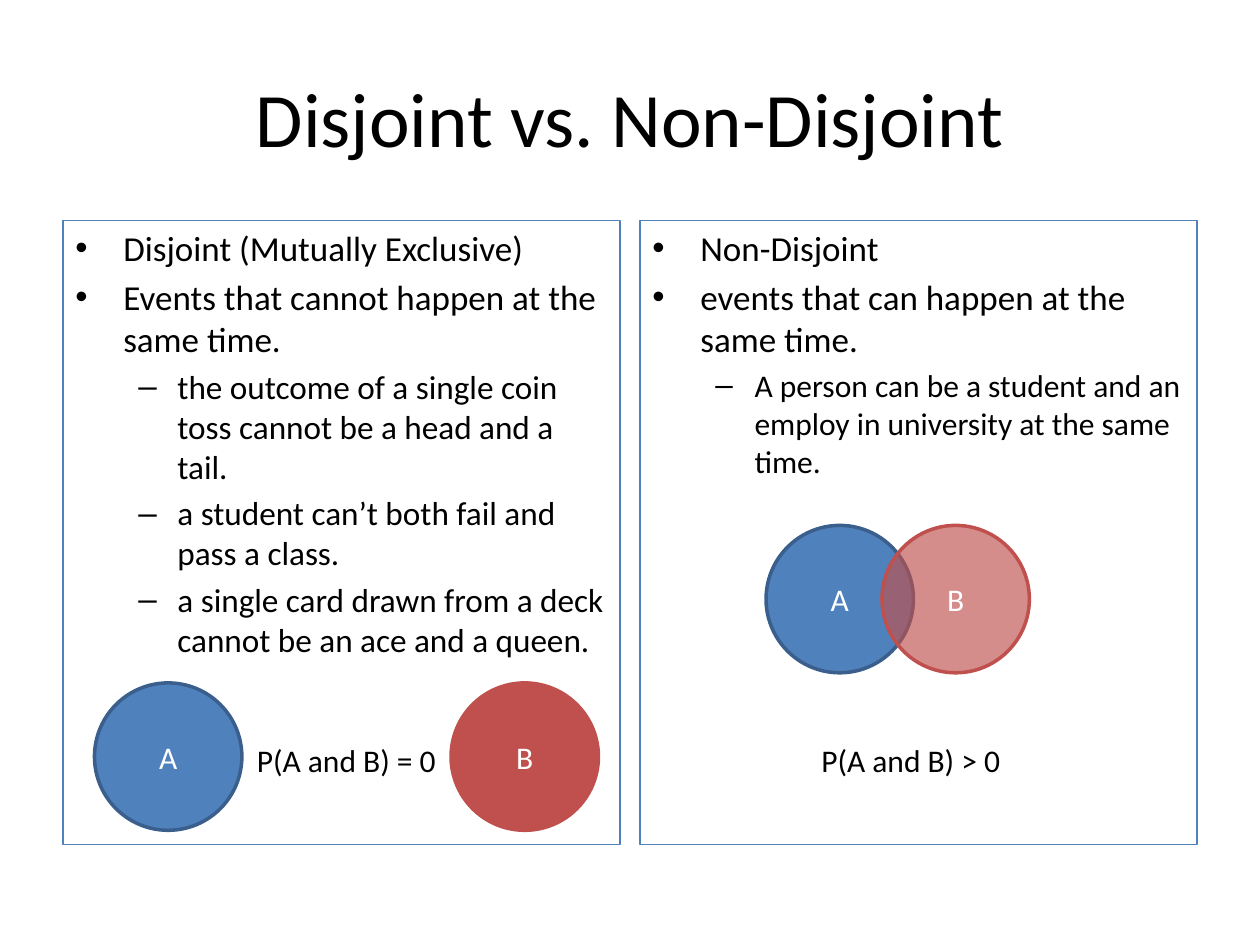
import pptx
import pptx.util
import pptx.dml.color
import pptx.enum.shapes
import pptx.enum.text
import pptx.oxml.ns
from lxml import etree

Inches, Pt = pptx.util.Inches, pptx.util.Pt
ALIGN, ANCHOR = pptx.enum.text.PP_ALIGN, pptx.enum.text.MSO_ANCHOR
SHAPE = pptx.enum.shapes.MSO_SHAPE

# Content
TITLE = "Disjoint vs. Non-Disjoint"
PANELS = [
    {
        "items": [
            (0, "Disjoint (Mutually Exclusive)"),
            (0, "Events that cannot happen at the same time."),
            (1, "the outcome of a single coin toss cannot be a head and a tail."),
            (1, "a student can’t both fail and pass a class."),
            (1, "a single card drawn from a deck cannot be an ace and a queen."),
        ],
        "sizes": (20, 19),
        "events": [("A", 0.25, 3.67, None), ("B", 3.08, 3.67, None)],
        "formula": ("P(A and B) = 0", 1.44),
    },
    {
        "items": [
            (0, "Non-Disjoint"),
            (0, "events that can happen at the same time."),
            (1, "A person can be a student and an employ in university at the same time."),
        ],
        "sizes": (20, 18),
        "events": [("A", 1, 2.42, None), ("B", 1.92, 2.42, 65)],
        "formula": ("P(A and B) > 0", 1.34),
    },
]

# Format values
COLORS = {"text": "000000", "label": "FFFFFF", "panel": "4F81BD"}
EVENT_COLORS = {"A": ("4F81BD", "3A5F8C"), "B": ("C0504D", "C0504D")}
LEVELS = [("•", 0.38, 0.38), ("–", 0.81, 0.31)]  # bullet, margin, hanging

# Grid: two equal columns between the side margins
WIDTH, HEIGHT = 10, 7.5
MARGIN, GUTTER = WIDTH * 0.05, 0.16
COLUMN = (WIDTH - 2 * MARGIN - GUTTER) / 2
PANEL_TOP, PANEL_HEIGHT = 1.75, HEIGHT * 0.66
CIRCLE = 1.17
FORMULA = (4.08, 1.64, 0.4)  # offset from panel top, width, height


def rgb(name):
    return pptx.dml.color.RGBColor.from_string(COLORS.get(name, name))


def write(para, text, size, color="text"):
    span = para.add_run()
    span.text = text
    values = {"name": "Calibri", "size": Pt(size)}
    for key, value in values.items():
        setattr(span.font, key, value)
    span.font.color.rgb = rgb(color)


def add_text(page, place, text, size, **frame_values):
    box = page.shapes.add_textbox(*map(Inches, place))
    for key, value in frame_values.items():
        setattr(box.text_frame, key, value)
    para = box.text_frame.paragraphs[0]
    write(para, text, size)
    return para


def add_outline(page, kind, place, line, width):
    shape = page.shapes.add_shape(kind, *map(Inches, place))
    shape.shadow.inherit = False
    shape.line.color.rgb = rgb(line)
    shape.line.width = Pt(width)
    return shape


def add_bullet(para, level):
    mark, margin, hanging = LEVELS[level]
    para.level = level
    properties = para._p.get_or_add_pPr()
    properties.set("marL", str(Inches(margin)))
    properties.set("indent", str(-Inches(hanging)))
    for tag, key, value in (("a:buFont", "typeface", "Arial"), ("a:buChar", "char", mark)):
        etree.SubElement(properties, pptx.oxml.ns.qn(tag)).set(key, value)


def add_panel(page, left, panel):
    place = (left, PANEL_TOP, COLUMN, PANEL_HEIGHT)
    box = add_outline(page, SHAPE.RECTANGLE, place, "panel", 0.75)
    box.fill.background()
    frame = box.text_frame
    frame.word_wrap = True
    frame.vertical_anchor = ANCHOR.TOP
    for index, (level, text) in enumerate(panel["items"]):
        para = frame.add_paragraph() if index else frame.paragraphs[0]
        size = panel["sizes"][level]
        para.alignment = ALIGN.LEFT
        para.space_before = Pt(size * 0.2)
        add_bullet(para, level)
        write(para, text, size)


def add_event(page, left, top, name, opacity):
    fill, line = EVENT_COLORS[name]
    circle = add_outline(page, SHAPE.OVAL, (left, top, CIRCLE, CIRCLE), line, 2)
    circle.fill.solid()
    circle.fill.fore_color.rgb = rgb(fill)
    if opacity:
        color = circle.fill._xPr.find(".//" + pptx.oxml.ns.qn("a:srgbClr"))
        etree.SubElement(color, pptx.oxml.ns.qn("a:alpha")).set("val", str(opacity * 1000))
    circle.text_frame.vertical_anchor = ANCHOR.MIDDLE
    para = circle.text_frame.paragraphs[0]
    para.alignment = ALIGN.CENTER
    write(para, name, 18, "label")


def main():
    deck = pptx.Presentation()
    deck.slide_width, deck.slide_height = Inches(WIDTH), Inches(HEIGHT)
    page = deck.slides.add_slide(deck.slide_layouts[6])

    # Title
    heading = add_text(page, (MARGIN, HEIGHT * 0.04, WIDTH - 2 * MARGIN, 1.25), TITLE, 44,
                       word_wrap=True, vertical_anchor=ANCHOR.MIDDLE)
    heading.alignment = ALIGN.CENTER

    # Panels, each with its Venn diagram and formula
    for column, panel in enumerate(PANELS):
        left = MARGIN + column * (COLUMN + GUTTER)
        add_panel(page, left, panel)
        for name, across, down, opacity in panel["events"]:
            add_event(page, left + across, PANEL_TOP + down, name, opacity)
        text, across = panel["formula"]
        down, width, height = FORMULA
        add_text(page, (left + across, PANEL_TOP + down, width, height), text, 18,
                 word_wrap=False, auto_size=pptx.enum.text.MSO_AUTO_SIZE.SHAPE_TO_FIT_TEXT)

    deck.save("out.pptx")


if __name__ == "__main__":
    main()
